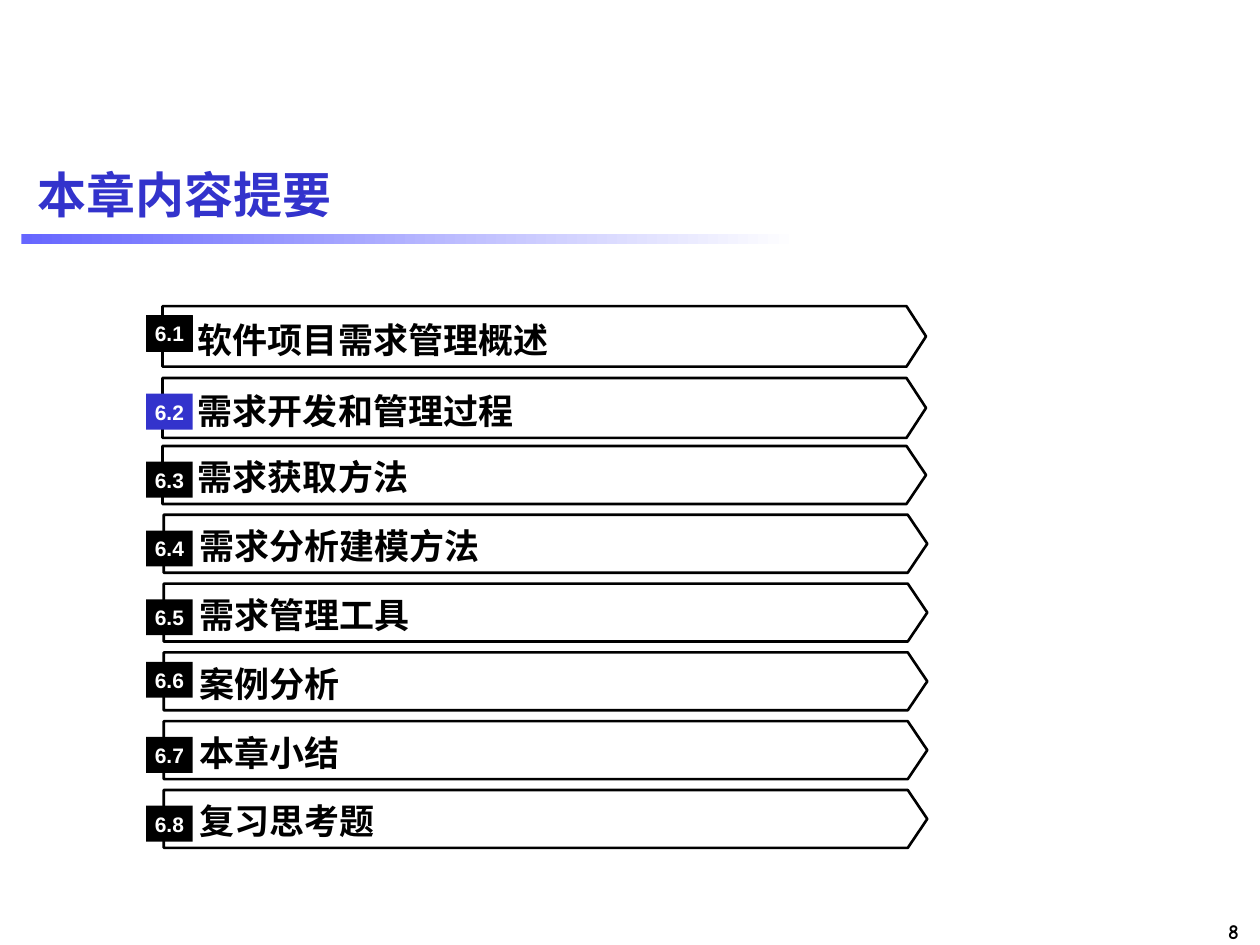
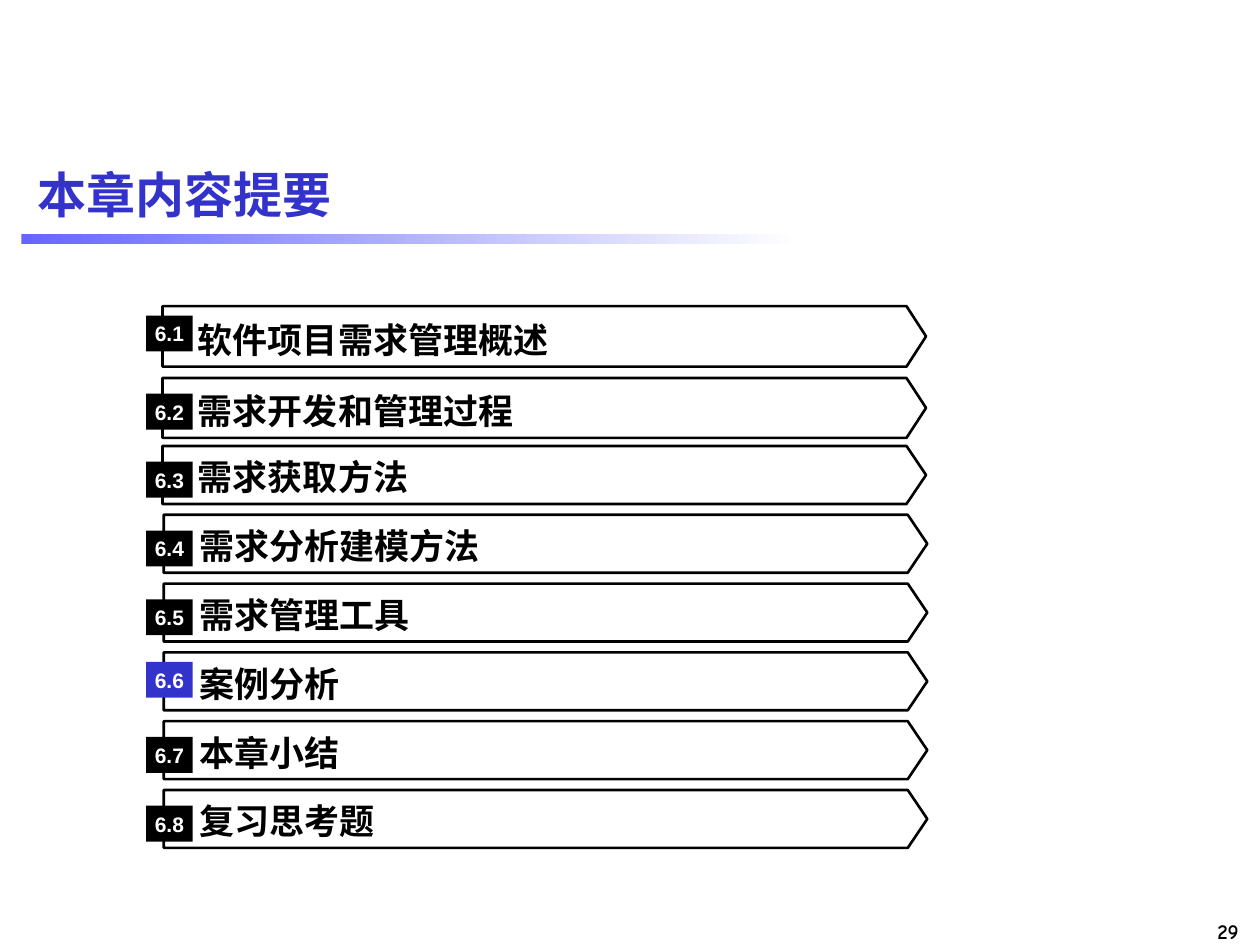
import pptx
import pptx.dml.color
import pptx.enum.lang
import pptx.enum.shapes
import pptx.enum.text
import pptx.util

Inches = pptx.util.Inches
Pt = pptx.util.Pt
ALIGN = pptx.enum.text.PP_ALIGN
MIDDLE = pptx.enum.text.MSO_ANCHOR.MIDDLE
TOP = pptx.enum.text.MSO_ANCHOR.TOP
CHINESE = pptx.enum.lang.MSO_LANGUAGE_ID.SIMPLIFIED_CHINESE

# Content
CHAPTER_TITLE = "本章内容提要"
SECTIONS = [
    ("6.1", "软件项目需求管理概述"),
    ("6.2", "需求开发和管理过程"),
    ("6.3", "需求获取方法"),
    ("6.4", "需求分析建模方法"),
    ("6.5", "需求管理工具"),
    ("6.6", "案例分析"),
    ("6.7", "本章小结"),
    ("6.8", "复习思考题"),
]
AGENDAS = [
    {"page": "8", "current": "6.2", "outlined": "6.1"},
    {"page": "29", "current": "6.6", "outlined": None},
]

# Shared look
BLACK, WHITE, ACCENT, BAND = "000000", "FFFFFF", "3333CC", "6666FF"
TITLE_FONT = {"name": "Arial", "size": Pt(28), "bold": True, "language_id": CHINESE}
SECTION_FONT = {"name": "Times New Roman", "size": Pt(20), "bold": True,
                "language_id": CHINESE}
BADGE_FONT = {"name": "Arial", "size": Pt(12), "bold": True}
PAGE_FONT = {"name": "Comic Neue", "size": Pt(12), "bold": True}
TITLE_BOX = (0.2, 1.15, 9.61, 0.78)
BAND_BOX = (0.17, 1.86, 6.17, 0.08)
PAGE_BOX = (9.01, 7.24, 0.92, 0.3)

# Section rows: the first two are a little taller, the rest keep an equal pitch
FIRST_ROWS = [(2.43, 0.48), (3.0, 0.475)]
EVEN_TOP, EVEN_PITCH, EVEN_HEIGHT = 3.54, 0.546, 0.46
BANNER_WIDTH, BANNER_TIP = 6.06, 0.155
RAISED_BADGES = {"6.1", "6.6"}


def rgb(hex_colour):
    return pptx.dml.color.RGBColor.from_string(hex_colour)


def box(left, top, width, height):
    return [Inches(length) for length in (left, top, width, height)]


def write(shape, text, font_format, colour, align=ALIGN.LEFT, anchor=MIDDLE,
          insets=(0, 0)):
    """Fill a shape with one formatted line; insets are (sides, top and bottom)."""
    frame = shape.text_frame
    sides, ends = (Inches(inset) for inset in insets)
    frame_format = {
        "text": text, "word_wrap": True, "vertical_anchor": anchor,
        "auto_size": pptx.enum.text.MSO_AUTO_SIZE.NONE,
        "margin_left": sides, "margin_right": sides,
        "margin_top": ends, "margin_bottom": ends,
    }
    for name, value in frame_format.items():
        setattr(frame, name, value)
    line = frame.paragraphs[0]
    line.alignment = align
    font = line.runs[0].font
    for name, value in font_format.items():
        setattr(font, name, value)
    font.color.rgb = rgb(colour)


def add_rectangle(slide, place):
    rectangle = slide.shapes.add_shape(
        pptx.enum.shapes.MSO_SHAPE.RECTANGLE, *box(*place))
    rectangle.shadow.inherit = False
    rectangle.line.fill.background()
    return rectangle


def add_frame(slide, page):
    """Add the title, the fading band under it and the page number."""
    page_number = slide.shapes.add_textbox(*box(*PAGE_BOX))
    write(page_number, page, PAGE_FONT, BLACK, ALIGN.RIGHT, TOP, (0.1, 0.05))

    band = add_rectangle(slide, BAND_BOX)
    band.fill.gradient()
    band.fill.gradient_angle = 0
    for stop, colour, position in zip(band.fill.gradient_stops, (BAND, WHITE), (0, 1)):
        stop.color.rgb = rgb(colour)
        stop.position = position

    title = slide.shapes.title
    title.left, title.top, title.width, title.height = box(*TITLE_BOX)
    write(title, CHAPTER_TITLE, TITLE_FONT, ACCENT, insets=(0.1, 0.05))


def row_place(row):
    """Return left, top and height of a section's banner."""
    left = 1.29 if row < 3 else 1.3
    if row < len(FIRST_ROWS):
        return (left, *FIRST_ROWS[row])
    return left, EVEN_TOP + (row - len(FIRST_ROWS)) * EVEN_PITCH, EVEN_HEIGHT


def add_banner(slide, left, top, height):
    right, bottom = left + BANNER_WIDTH, top + height
    shoulder = right - BANNER_TIP
    outline = [(shoulder, top), (right, top + height / 2),
               (shoulder, bottom), (left, bottom)]
    builder = slide.shapes.build_freeform(Inches(left), Inches(top))
    builder.add_line_segments([(Inches(x), Inches(y)) for x, y in outline])
    banner = builder.convert_to_shape()
    banner.shadow.inherit = False
    banner.fill.background()
    banner.line.color.rgb = rgb(BLACK)
    banner.line.width = Pt(1.5)


def add_section(slide, row, agenda):
    number, heading = SECTIONS[row]
    left, top, height = row_place(row)
    add_banner(slide, left, top, height)

    heading_top = top + max(0.1 - row * 0.01, 0.08)
    heading_box = slide.shapes.add_textbox(*box(left + 0.28, heading_top, 5.38, 0.33))
    write(heading_box, heading, SECTION_FONT, BLACK)

    badge_drop = 0.075 if number in RAISED_BADGES else 0.125
    badge = add_rectangle(slide, (1.16, top + badge_drop, 0.37, 0.285))
    badge.fill.solid()
    badge.fill.fore_color.rgb = rgb(ACCENT if number == agenda["current"] else BLACK)
    if number == agenda["outlined"]:
        badge.line.color.rgb = rgb(BLACK)
        badge.line.width = Pt(0.5)
    write(badge, number, BADGE_FONT, WHITE, ALIGN.CENTER)


def main():
    deck = pptx.Presentation()
    deck.slide_width, deck.slide_height = Inches(10), Inches(7.5)
    title_only = deck.slide_layouts.get_by_name("Title Only")
    for agenda in AGENDAS:
        slide = deck.slides.add_slide(title_only)
        add_frame(slide, agenda["page"])
        for row in range(len(SECTIONS)):
            add_section(slide, row, agenda)
    deck.save("out.pptx")


if __name__ == "__main__":
    main()
